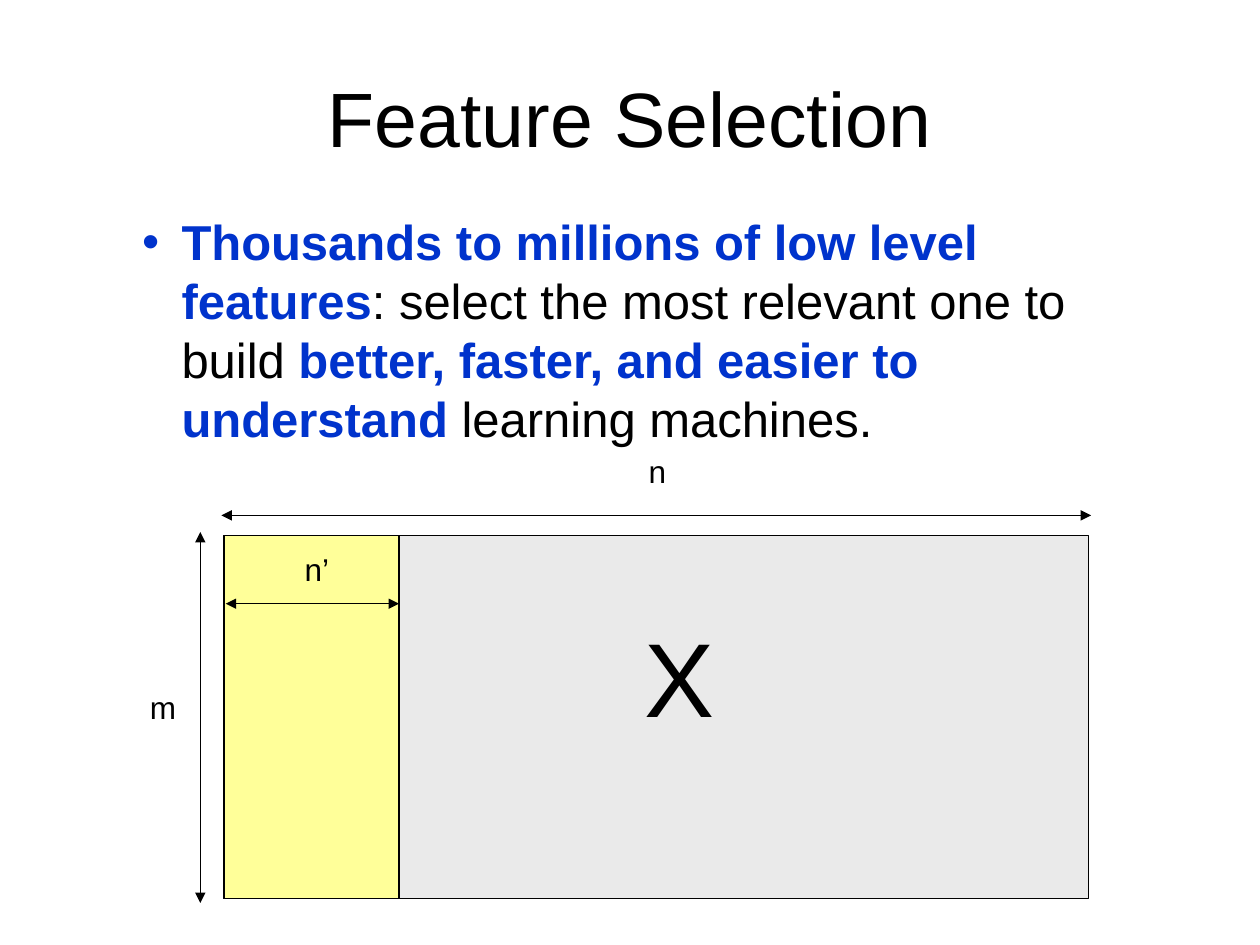
from lxml import etree
from pptx import Presentation, util as u
from pptx.dml.color import RGBColor
from pptx.enum import shapes, text
from pptx.oxml.ns import qn

FONT = "Arial"
BLACK, BLUE, GRAY, YELLOW = "000000", "0033CC", "EAEAEA", "FFFF99"
LEFT, TOP, WIDTH, HEIGHT = 128, 306, 494, 207.5
SELECTED_WIDTH = 100


def color(value):
    """Turn a hex string into a colour."""
    return RGBColor.from_string(value)


def place(shape, left, top, width, height):
    """Move and size a shape in points."""
    shape.left, shape.top = u.Pt(left), u.Pt(top)
    shape.width, shape.height = u.Pt(width), u.Pt(height)


def style(para, size):
    """Set the font and spacing of a paragraph."""
    para.font.name, para.font.size = FONT, u.Pt(size)
    para.font.color.rgb = color(BLACK)
    para.space_before = u.Pt(0)


def add_bullet(para, indent, hanging):
    """Give a paragraph a blue bullet with a hanging indent."""
    props = para._p.get_or_add_pPr()
    props.set("marL", str(u.Pt(indent)))
    props.set("indent", str(-u.Pt(hanging)))
    fill = etree.SubElement(props, qn("a:buClr"))
    etree.SubElement(fill, qn("a:srgbClr"), val=BLUE)
    etree.SubElement(props, qn("a:buFont"), typeface=FONT)
    etree.SubElement(props, qn("a:buChar"), char="•")


def fill_title(box, words):
    """Write the slide title."""
    place(box, 36, 21.5, 648, 90)
    box.text_frame.text = words
    box.text_frame.vertical_anchor = text.MSO_ANCHOR.MIDDLE
    para = box.text_frame.paragraphs[0]
    para.alignment = text.PP_ALIGN.CENTER
    style(para, 44)


def fill_body(box, spans):
    """Write one bullet whose spans are either emphasised or plain."""
    place(box, 38, 117.5, 612, 145)
    box.text_frame.auto_size = text.MSO_AUTO_SIZE.NONE
    para = box.text_frame.paragraphs[0]
    add_bullet(para, 58.5, 22.5)
    style(para, 28)
    for words, emphasised in spans:
        span = para.add_run()
        span.text = words
        span.font.bold = emphasised
        span.font.color.rgb = color(BLUE if emphasised else BLACK)


def add_block(page, width, fill):
    """Draw a part of the data matrix, from its left edge."""
    block = page.shapes.add_shape(
        shapes.MSO_SHAPE.RECTANGLE, *map(u.Pt, (LEFT, TOP, width, HEIGHT)))
    block.shadow.inherit = False
    block.fill.solid()
    block.fill.fore_color.rgb = color(fill)
    block.line.color.rgb = color(BLACK)
    block.line.width = u.Pt(0.75)


def add_dimension(page, *ends):
    """Draw a line with an arrowhead at each end."""
    arrow = page.shapes.add_connector(
        shapes.MSO_CONNECTOR.STRAIGHT, *map(u.Pt, ends))
    arrow.line.color.rgb = color(BLACK)
    arrow.line.width = u.Pt(0.75)
    line = arrow.line._get_or_add_ln()
    for end in ("a:headEnd", "a:tailEnd"):
        etree.SubElement(line, qn(end), type="triangle")
    etree.SubElement(arrow._element.spPr, qn("a:effectLst"))


def add_label(page, words, left, top, width=34, height=29, size=18):
    """Write a label in a text box."""
    box = page.shapes.add_textbox(*map(u.Pt, (left, top, width, height)))
    box.text_frame.word_wrap = True
    box.text_frame.text = words
    style(box.text_frame.paragraphs[0], size)


def main():
    """Build the slide."""
    deck = Presentation()
    deck.slide_width, deck.slide_height = u.Pt(720), u.Pt(540)
    page = deck.slides.add_slide(deck.slide_layouts[1])
    fill_title(page.shapes.title, "Feature Selection")
    fill_body(page.placeholders[1], [
        ("Thousands to millions of low level features", True),
        (": select the most relevant one to build ", False),
        ("better, faster, and easier to understand", True),
        (" learning machines.", False),
    ])

    right, bottom = LEFT + WIDTH, TOP + HEIGHT
    add_block(page, WIDTH, GRAY)
    add_label(page, "X", 361, 346.5, 160, 79, size=60)
    add_dimension(page, LEFT - 1.5, 294.5, right + 1.5, 294.5)
    add_label(page, "n", 363.5, 255)
    add_dimension(page, 114.5, TOP - 2, 114.5, bottom + 2.5)
    add_label(page, "m", 78.5, 389.5)

    add_block(page, SELECTED_WIDTH, YELLOW)
    add_dimension(page, LEFT + 1, 345, LEFT + SELECTED_WIDTH, 345)
    add_label(page, "n’", 167, 311)
    deck.save("out.pptx")


if __name__ == "__main__":
    main()
